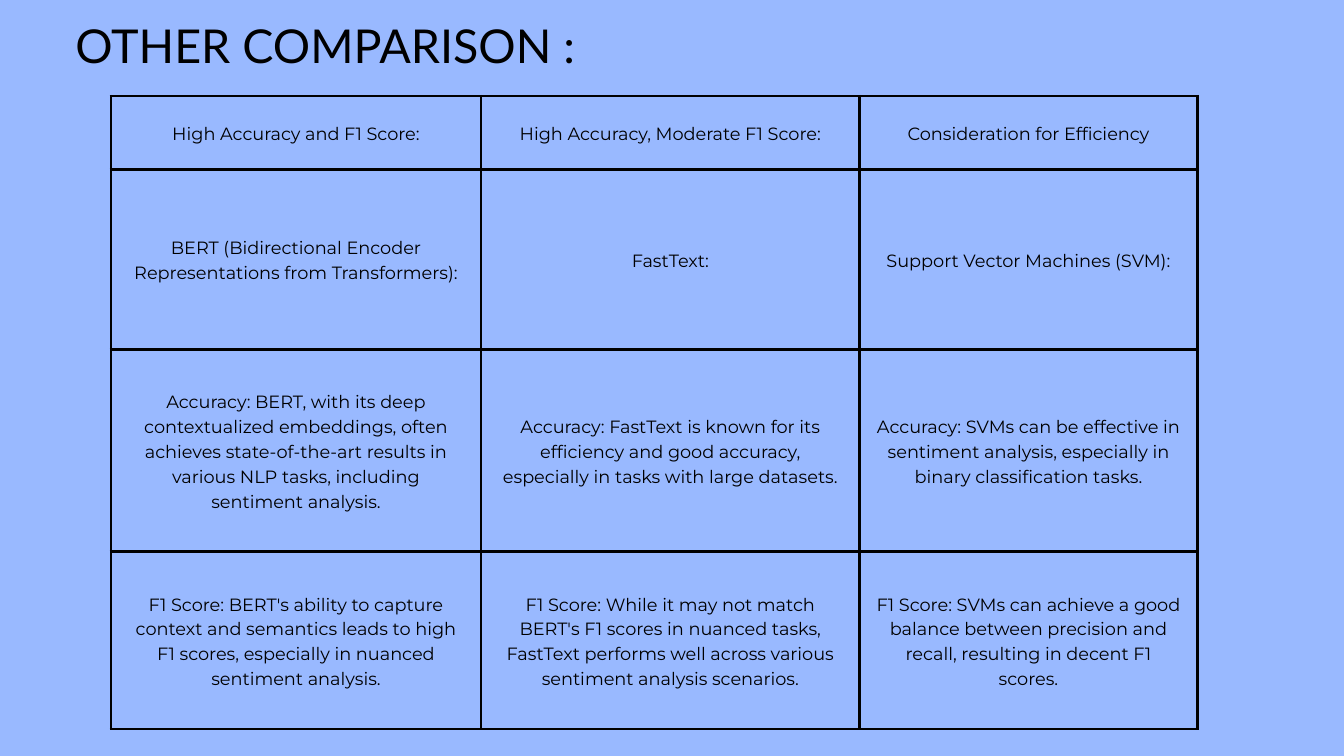
from dataclasses import dataclass

from lxml import etree
from pptx import Presentation
from pptx.dml.color import RGBColor
from pptx.enum.text import MSO_ANCHOR, MSO_AUTO_SIZE, PP_ALIGN
from pptx.oxml.ns import qn
from pptx.util import Inches, Pt

CENTER = PP_ALIGN.CENTER
MIDDLE = MSO_ANCHOR.MIDDLE
GROW = MSO_AUTO_SIZE.SHAPE_TO_FIT_TEXT
BLANK_LAYOUT = 6


@dataclass(frozen=True)
class Theme:
    background: str = "99B9FF"
    ink: str = "000000"
    title_font: str = "Lato"
    title_size: float = 50
    title_leading: float = 50.5
    body_font: str = "Montserrat"
    body_size: float = 19
    body_leading: float = 26.6
    border_width: float = 3


theme = Theme()


def write(para, text, font, size, leading):
    para.line_spacing = Pt(leading)
    span = para.add_run()
    span.text = text
    span.font.color.rgb = RGBColor.from_string(theme.ink)
    for name, value in {"name": font, "size": Pt(size)}.items():
        setattr(span.font, name, value)


def draw_borders(cell):
    properties = cell._tc.get_or_add_tcPr()
    for side in ("a:lnL", "a:lnR", "a:lnT", "a:lnB"):
        line = etree.SubElement(properties, qn(side), w=str(Pt(theme.border_width)))
        fill = etree.SubElement(line, qn("a:solidFill"))
        etree.SubElement(fill, qn("a:srgbClr"), val=theme.ink)


deck = Presentation()
deck.slide_width = Inches(20)
deck.slide_height = Inches(11.25)
page = deck.slides.add_slide(deck.slide_layouts[BLANK_LAYOUT])
page.background.fill.solid()
page.background.fill.fore_color.rgb = RGBColor.from_string(theme.background)

column_widths = [5.51, 5.63, 5.03]
row_heights = [1.09, 2.68, 3.01, 2.64]
comparison = [
    [
        "High Accuracy and F1 Score:",
        "High Accuracy, Moderate F1 Score:",
        "Consideration for Efficiency",
    ],
    [
        "BERT (Bidirectional Encoder Representations from Transformers):",
        "FastText:",
        "Support Vector Machines (SVM):",
    ],
    [
        "Accuracy: BERT, with its deep contextualized embeddings, often achieves "
        "state-of-the-art results in various NLP tasks, including sentiment analysis.",
        "Accuracy: FastText is known for its efficiency and good accuracy, "
        "especially in tasks with large datasets.",
        "Accuracy: SVMs can be effective in sentiment analysis, "
        "especially in binary classification tasks.",
    ],
    [
        "F1 Score: BERT's ability to capture context and semantics leads to high "
        "F1 scores, especially in nuanced sentiment analysis.",
        "F1 Score: While it may not match BERT's F1 scores in nuanced tasks, "
        "FastText performs well across various sentiment analysis scenarios.",
        "F1 Score: SVMs can achieve a good balance between precision and recall, "
        "resulting in decent F1 scores.",
    ],
]

table = page.shapes.add_table(
    len(row_heights), len(column_widths),
    Inches(1.65), Inches(1.43),
    Inches(sum(column_widths)), Inches(sum(row_heights)),
).table
table.first_row = False
table.horz_banding = False
for column, width in zip(table.columns, column_widths):
    column.width = Inches(width)
for row, height in zip(table.rows, row_heights):
    row.height = Inches(height)

cell_format = {"vertical_anchor": MIDDLE}
for side in ("left", "right", "top", "bottom"):
    cell_format[f"margin_{side}"] = Inches(0.21)

for row, texts in zip(table.rows, comparison):
    for cell, text in zip(row.cells, texts):
        for name, value in cell_format.items():
            setattr(cell, name, value)
        draw_borders(cell)
        cell.fill.background()
        para = cell.text_frame.paragraphs[0]
        para.alignment = CENTER
        write(para, text, theme.body_font, theme.body_size, theme.body_leading)

title_box = page.shapes.add_textbox(Inches(1.12), Inches(0.39), Inches(10.41), Inches(0.74))
title_format = {"word_wrap": True, "auto_size": GROW}
for side in ("left", "right", "top", "bottom"):
    title_format[f"margin_{side}"] = 0
for name, value in title_format.items():
    setattr(title_box.text_frame, name, value)
write(
    title_box.text_frame.paragraphs[0], "OTHER COMPARISON :",
    theme.title_font, theme.title_size, theme.title_leading,
)

deck.save("out.pptx")
